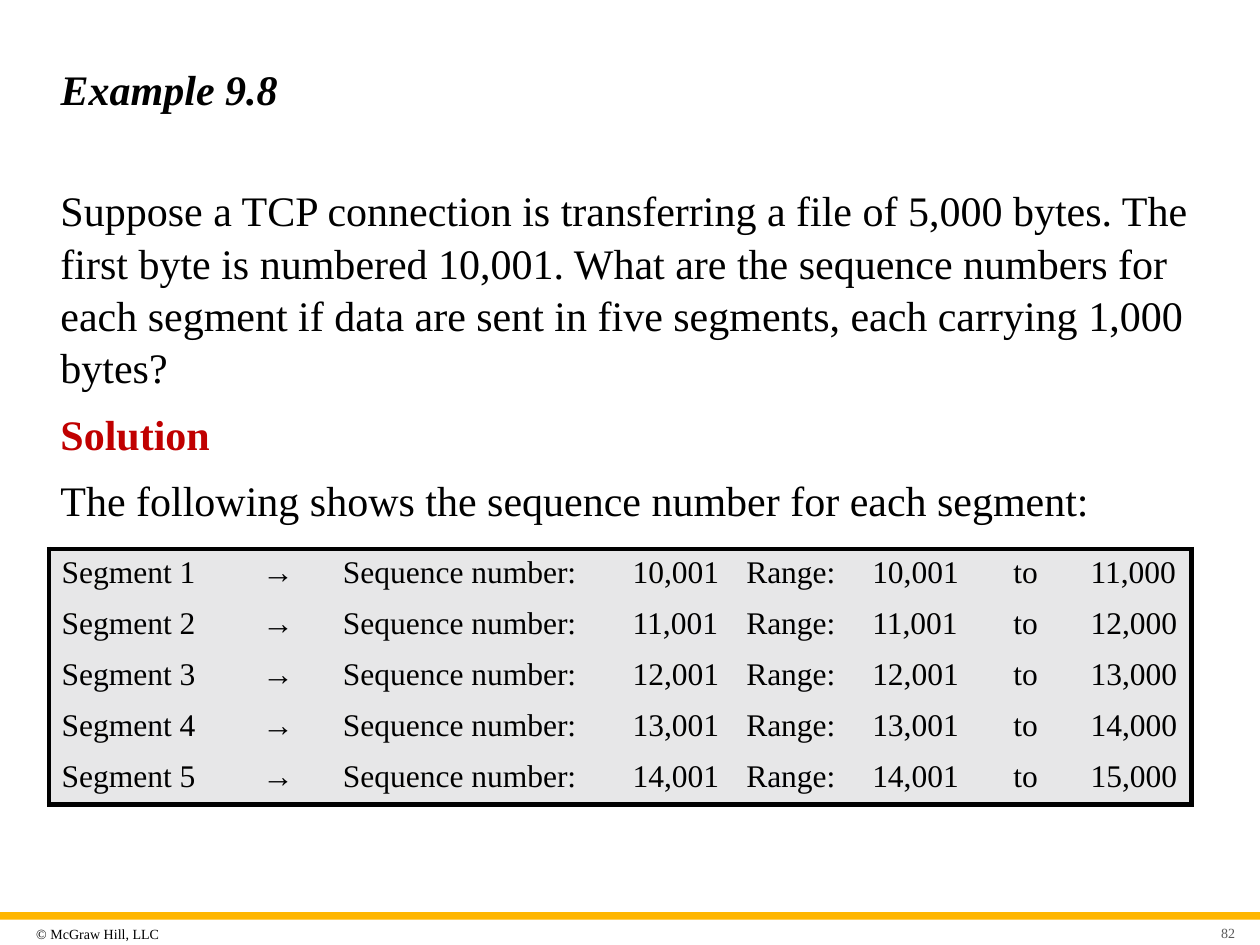
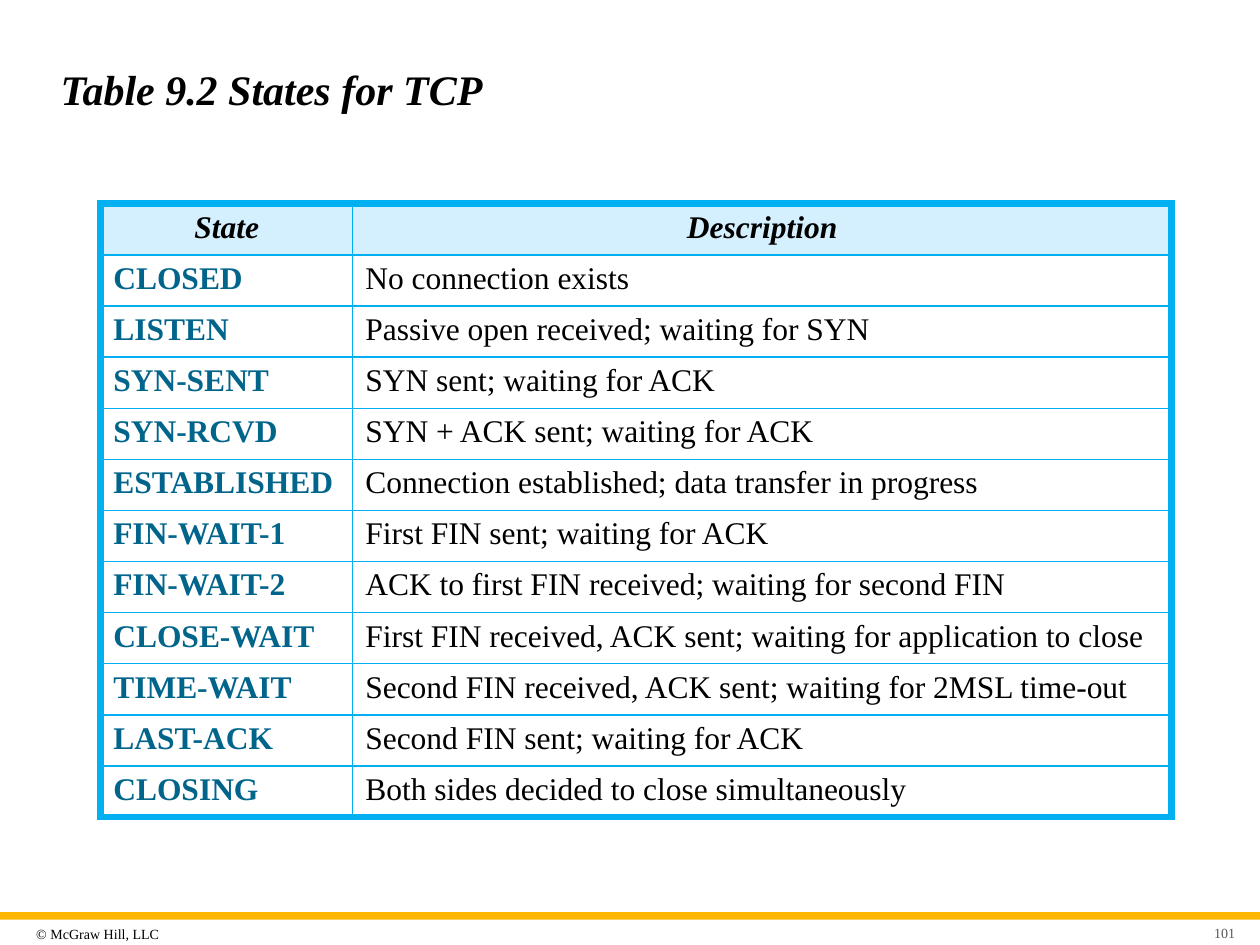
from lxml import etree
from pptx import Presentation
from pptx.dml.color import RGBColor
from pptx.enum.shapes import MSO_SHAPE
from pptx.enum.text import MSO_ANCHOR, MSO_AUTO_SIZE, PP_ALIGN
from pptx.oxml.ns import qn
from pptx.util import Cm, Pt

RECT = MSO_SHAPE.RECTANGLE
MIDDLE = MSO_ANCHOR.MIDDLE
FIXED = MSO_AUTO_SIZE.NONE
LEFT, CENTER, RIGHT = PP_ALIGN.LEFT, PP_ALIGN.CENTER, PP_ALIGN.RIGHT

# Shared look
FACE = "Times New Roman"
BLACK, GRAY, RED = "000000", "595959", "C00000"
GOLD, PALE = "FFB600", "E7E7E8"
BLUE, SKY, TEAL = "00B0F0", "D4EFFD", "00648B"
EDGE_X, EDGE_W = 0.97, 23.5
ROW_H = 1.03

STATES = [
    ("CLOSED", "No connection exists"),
    ("LISTEN", "Passive open received; waiting for SYN"),
    ("SYN-SENT", "SYN sent; waiting for ACK"),
    ("SYN-RCVD", "SYN + ACK sent; waiting for ACK"),
    ("ESTABLISHED", "Connection established; data transfer in progress"),
    ("FIN-WAIT-1", "First FIN sent; waiting for ACK"),
    ("FIN-WAIT-2", "ACK to first FIN received; waiting for second FIN"),
    ("CLOSE-WAIT",
     "First FIN received, ACK sent; waiting for application to close"),
    ("TIME-WAIT", "Second FIN received, ACK sent; waiting for 2MSL time-out"),
    ("LAST-ACK", "Second FIN sent; waiting for ACK"),
    ("CLOSING", "Both sides decided to close simultaneously"),
]


def rgb(code):
    return RGBColor.from_string(code)


def style(para, size, color=BLACK, bold=False, italic=False, align=LEFT):
    para.alignment = align
    for run in para.runs:
        font = run.font
        font.name, font.size = FACE, Pt(size)
        font.bold, font.italic = bold, italic
        font.color.rgb = rgb(color)


def add_text(slide, box, text):
    frame = slide.shapes.add_textbox(*map(Cm, box)).text_frame
    frame.word_wrap = True
    frame.text = text
    return frame


def add_note(slide, box, text, color, align, inset):
    """Small footer text."""
    frame = add_text(slide, box, text)
    frame.vertical_anchor = MIDDLE
    frame.margin_left = Cm(inset)
    frame.margin_right = frame.margin_top = frame.margin_bottom = Cm(0.13)
    style(frame.paragraphs[0], 8, color, align=align)


def add_slide(deck, title, number):
    slide = deck.slides.add_slide(deck.slide_layouts[5])
    # Band and footer
    band = slide.shapes.add_shape(RECT, 0, Cm(18.39), deck.slide_width,
                                  Cm(0.15))
    band.shadow.inherit = False
    band.fill.solid()
    band.fill.fore_color.rgb = rgb(GOLD)
    band.line.fill.background()
    add_note(slide, (0.6, 18.52, 3.43, 0.6), "© McGraw Hill, LLC",
             BLACK, LEFT, 0.13)
    add_note(slide, (24.03, 18.57, 1, 0.46), str(number), GRAY, RIGHT, 0.25)
    # Title
    head = slide.shapes.title
    head.left, head.top = Cm(EDGE_X), Cm(0.84)
    head.width, head.height = Cm(EDGE_W), Cm(1.88)
    frame = head.text_frame
    frame.text = title
    frame.auto_size = FIXED
    frame.vertical_anchor = MIDDLE
    style(frame.paragraphs[0], 24, bold=True, italic=True)
    return slide


def add_body(slide, items):
    frame = add_text(slide, (EDGE_X, 3.56, EDGE_W, 7.24),
                     "\n".join(text for text, *_ in items))
    for para, (_, color, bold) in zip(frame.paragraphs, items):
        para.line_spacing = 1.04
        para.space_after = Pt(8)
        style(para, 24, color, bold)


def set_edge(cell, side, color, width):
    """Draw one cell border, or none when width is 0."""
    line = etree.SubElement(cell._tc.get_or_add_tcPr(), qn("a:ln" + side),
                            w=str(int(Pt(width))))
    if not width:
        etree.SubElement(line, qn("a:noFill"))
        return
    fill = etree.SubElement(line, qn("a:solidFill"))
    etree.SubElement(fill, qn("a:srgbClr"), val=color)


def add_grid(slide, spot, widths, rows, color, outer, inner):
    """Add a table with one outer and one inner line width."""
    last_r, last_c = len(rows) - 1, len(widths) - 1
    table = slide.shapes.add_table(
        len(rows), len(widths), *map(Cm, spot), Cm(sum(widths)),
        Cm(ROW_H * len(rows))).table
    table.first_row = table.horz_banding = False
    for col, width in zip(table.columns, widths):
        col.width = Cm(width)
    for r, row in enumerate(rows):
        for c, text in enumerate(row):
            cell = table.cell(r, c)
            cell.text = text
            outside = {"L": c == 0, "R": c == last_c,
                       "T": r == 0, "B": r == last_r}
            for side, edge in outside.items():
                set_edge(cell, side, color, outer if edge else inner)
    return table


def paint(cell, color=None):
    if color:
        cell.fill.solid()
        cell.fill.fore_color.rgb = rgb(color)
    else:
        cell.fill.background()


def add_ranges(slide):
    rows = []
    for n in range(1, 6):
        first = f"{9001 + 1000 * n:,}"
        last = f"{10000 + 1000 * n:,}"
        rows.append((f"Segment {n}", "→", "Sequence number:", first,
                     "Range:", first, "to", last))
    widths = (3.56, 2.11, 5.84, 2.29, 2.54, 2.29, 2.11, 2.29)
    table = add_grid(slide, (0.99, 11.07), widths, rows, BLACK, 3, 0)
    for row in table.rows:
        for c, cell in enumerate(row.cells):
            paint(cell, PALE)
            style(cell.text_frame.paragraphs[0], 18,
                  align=CENTER if c in (1, 6) else LEFT)


def add_states(slide):
    rows = [("State", "Description")] + STATES
    table = add_grid(slide, (2.03, 4.11), (5.08, 16.51), rows, BLUE, 4.5, 1)
    for r, row in enumerate(table.rows):
        for c, cell in enumerate(row.cells):
            para = cell.text_frame.paragraphs[0]
            if r == 0:
                paint(cell, SKY)
                style(para, 18, bold=True, italic=True, align=CENTER)
            else:
                paint(cell)
                style(para, 18, BLACK if c else TEAL, bold=c == 0)


def main():
    deck = Presentation()
    deck.slide_width, deck.slide_height = Cm(25.4), Cm(19.05)

    # Worked example
    slide = add_slide(deck, "Example 9.8", 82)
    add_body(slide, [
        ("Suppose a TCP connection is transferring a file of 5,000 bytes. "
         "The first byte is numbered 10,001. What are the sequence numbers "
         "for each segment if data are sent in five segments, each carrying "
         "1,000 bytes?", BLACK, False),
        ("Solution", RED, True),
        ("The following shows the sequence number for each segment:",
         BLACK, False),
    ])
    add_ranges(slide)

    # State table
    slide = add_slide(deck, "Table 9.2 States for TCP", 101)
    add_states(slide)

    deck.save("out.pptx")


if __name__ == "__main__":
    main()
